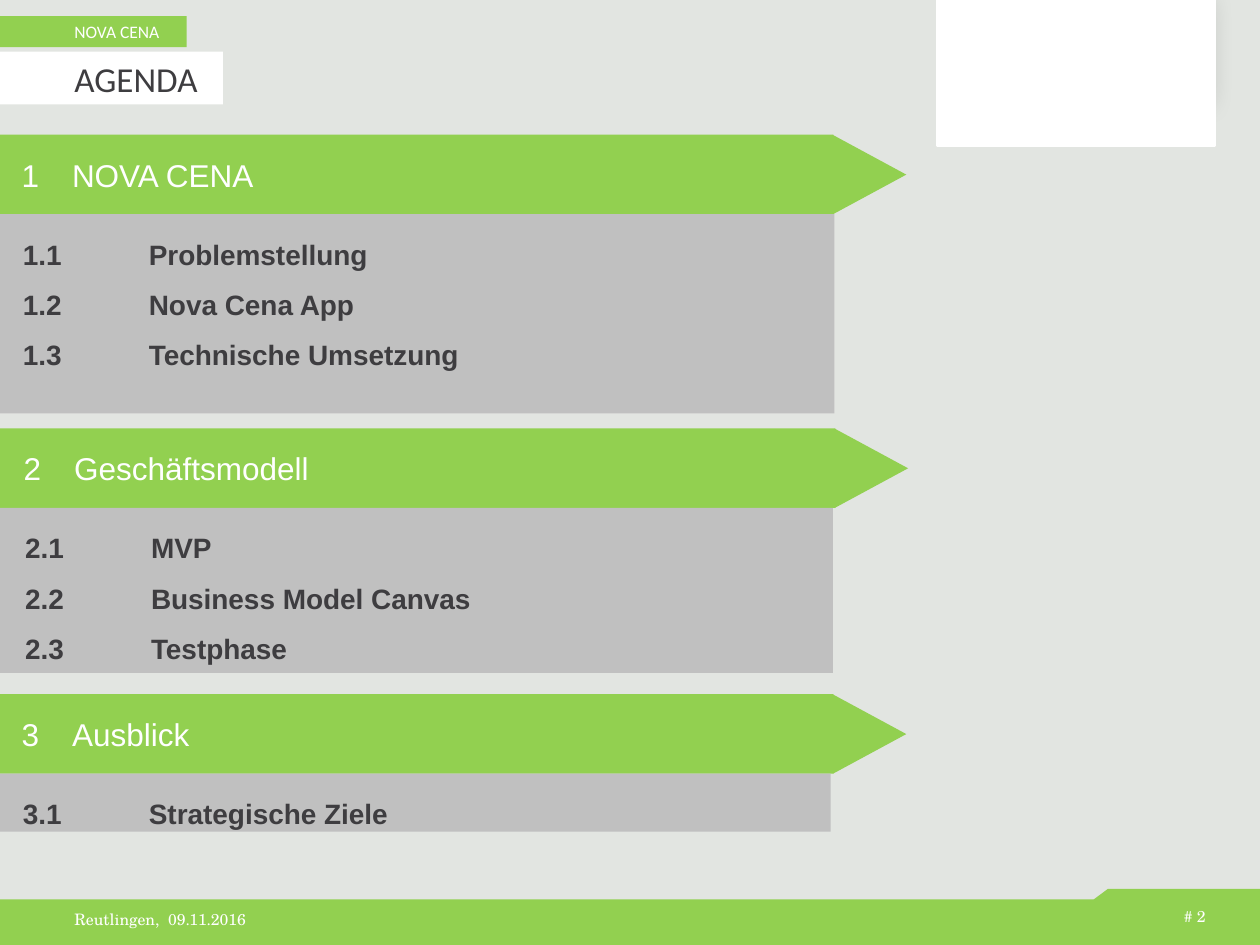
from lxml import etree
from pptx import Presentation
from pptx.dml.color import RGBColor
from pptx.enum import shapes, text
from pptx.oxml import ns
from pptx.util import Pt

GREEN = RGBColor(0x92, 0xD0, 0x50)
GREY = RGBColor(0xC0, 0xC0, 0xC0)
DARK = RGBColor(0x3E, 0x3D, 0x40)
WHITE = RGBColor(0xFF, 0xFF, 0xFF)
BACK = RGBColor(0xE2, 0xE5, 0xE1)
KIND = shapes.MSO_SHAPE
MID, LOW, TOP = (text.MSO_ANCHOR.MIDDLE, text.MSO_ANCHOR.BOTTOM,
                 text.MSO_ANCHOR.TOP)
LEFT, RIGHT = text.PP_ALIGN.LEFT, text.PP_ALIGN.RIGHT

deck = Presentation()
deck.slide_width, deck.slide_height = Pt(720), Pt(540)
slide = deck.slides.add_slide(deck.slide_layouts[5])
slide.background.fill.solid()
slide.background.fill.fore_color.rgb = BACK
tree = slide.shapes


def block(box, color, kind=KIND.RECTANGLE):
    shape = tree.add_shape(kind, *map(Pt, box))
    shape.shadow.inherit = False
    shape.fill.solid()
    shape.fill.fore_color.rgb = color
    shape.line.fill.background()
    return shape


def write(shape, lines, font, color, size, pad=(7.2, 3.6, 7.2, 3.6),
          anchor=TOP, align=LEFT, indent=(0, 0), space=1, bold=False):
    frame = shape.text_frame
    frame.text = "\n".join(lines)
    look = {"word_wrap": True, "vertical_anchor": anchor,
            "auto_size": text.MSO_AUTO_SIZE.NONE}
    for side, gap in zip(("left", "top", "right", "bottom"), pad):
        look["margin_" + side] = Pt(gap)
    for key, value in look.items():
        setattr(frame, key, value)
    style = {"name": font, "size": Pt(size), "bold": bold}
    for para in frame.paragraphs:
        para.alignment, para.line_spacing = align, space
        props = para._p.get_or_add_pPr()
        for key, value in zip(("marL", "indent"), indent):
            props.set(key, str(Pt(value)))
        for run in para.runs:
            for key, value in style.items():
                setattr(run.font, key, value)
            run.font.color.rgb = color


# Footer band with raised right end
edge = [(633, 508.3), (625, 514), (-0.7, 514.4), (-0.7, 541.4), (720.7, 540.7)]
form = tree.build_freeform(720.7, 508.3, scale=Pt(1))
form.add_line_segments(edge, close=True)
band = form.convert_to_shape()
band.shadow.inherit = False
band.fill.solid()
band.fill.fore_color.rgb = GREEN
band.line.fill.background()

# Corner card with soft shadow
card = block((575.3, 0, 116.6, 59.8), WHITE)
glow = card._element.spPr.find(ns.qn("a:effectLst"))
outer = etree.SubElement(glow, ns.qn("a:outerShdw"), blurRad=str(Pt(14)))
tint = etree.SubElement(outer, ns.qn("a:srgbClr"), val="000000")
etree.SubElement(tint, ns.qn("a:alpha"), val="14000")

# Title and chapter label
title = tree.title
sides = ("left", "top", "width", "height")
for key, value in zip(sides, (0, 29.5, 127.4, 30.2)):
    setattr(title, key, Pt(value))
title.fill.solid()
title.fill.fore_color.rgb = WHITE
write(title, ["AGENDA"], "Calibri", DARK, 20, (0, 2.9, 0, 2.9), MID,
      indent=(42.5, 0))
label = block((0, 9.2, 106.6, 17.8), GREEN)
write(label, ["NOVA CENA"], "Calibri", WHITE, 10, (0, 2.9, 0, 2.9), LOW,
      indent=(42.5, 0))

# Footer texts
for box, line, align in (((660.2, 518.4, 28.8, 10.8), "# 2", RIGHT),
                         ((42.5, 519.8, 110, 10.8),
                          "Reutlingen,  09.11.2016", LEFT)):
    note = tree.add_textbox(*map(Pt, box))
    write(note, [line], "TeX Gyre Schola", WHITE, 9, (0, 0, 0, 0),
          align=align)

# Agenda sections: left, top, list width, list height, tip left, head, items
parts = [
    (-1.2, 77, 478.1, 113.8, 474.2, "NOVA CENA",
     ["Problemstellung", "Nova Cena App", "Technische Umsetzung"]),
    (0, 244.8, 475.9, 94.3, 475.2, "Geschäftsmodell",
     ["MVP", "Business Model Canvas", "Testphase"]),
    (-1.2, 396.7, 475.9, 33.1, 474.2, "Ausblick", ["Strategische Ziele"]),
]
for num, (left, top, wide, high, tip, head, items) in enumerate(parts, 1):
    arrow = block((tip, top + 1.8, 45.4, 42), GREEN, KIND.ISOSCELES_TRIANGLE)
    arrow.rotation = 90
    bar = block((left, top, 477.4, 45.4), GREEN)
    write(bar, [f"{num}\t{head}"], "Arial", WHITE, 18, anchor=MID,
          indent=(35.3, -28.8))
    panel = block((left, top + 45.4, wide, high), GREY)
    lines = [f"{num}.{sub}\t{item}" for sub, item in enumerate(items, 1)]
    write(panel, lines, "Arial", DARK, 16, indent=(79.2, -72), space=1.5,
          bold=True)

# White cover in the top right corner
cover = block((535.7, 0.7, 158.4, 82.1), WHITE)
cover.line.color.rgb = WHITE
cover.line.width = Pt(2)

deck.save("out.pptx")
